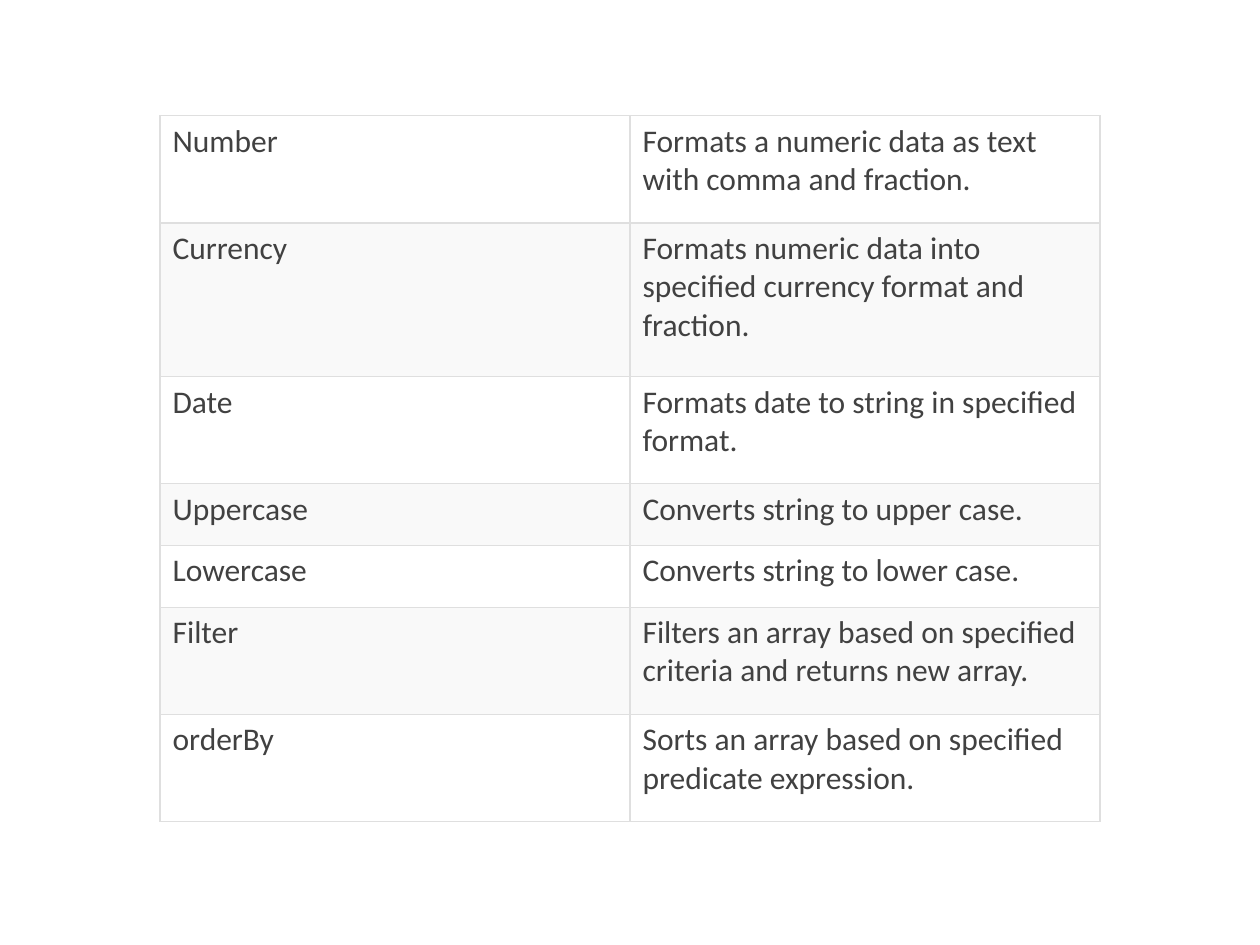
from lxml import etree
from pptx import Presentation
from pptx.dml.color import RGBColor
from pptx.oxml import ns
from pptx.util import Inches, Pt


def rgb(value):
    return RGBColor.from_string(value)


class Deck:
    font = "Calibri"
    size = Pt(18)
    ink = "414141"
    border = "DFDFDF"
    border_width = Pt(0.75)
    bands = ("FFFFFF", "F9F9F9")

    def __init__(self, prs):
        self.s = prs.slides.add_slide(prs.slide_layouts[6])

    def table(self, left, top, col_width, heights, rows):
        cols = len(rows[0])
        frame = self.s.shapes.add_table(
            len(rows), cols, Inches(left), Inches(top),
            Inches(col_width * cols), Inches(sum(heights)))
        table = frame.table
        table.first_row = False
        table.horz_banding = False
        for column in table.columns:
            column.width = Inches(col_width)
        for i, (height, words) in enumerate(zip(heights, rows)):
            table.rows[i].height = Inches(height)
            for j, word in enumerate(words):
                self.cell(table.cell(i, j), word, self.bands[i % 2])

    def cell(self, cell, word, fill):
        cell.text = word
        p = cell.text_frame.paragraphs[0]
        p.font.name = self.font
        p.font.size = self.size
        p.font.color.rgb = rgb(self.ink)
        cell.fill.solid()
        cell.fill.fore_color.rgb = rgb(fill)
        self.borders(cell)

    def borders(self, cell):
        tc_pr = cell._tc.get_or_add_tcPr()
        for i, side in enumerate(("lnL", "lnR", "lnT", "lnB")):
            line = etree.Element(ns.qn(f"a:{side}"), w=str(self.border_width))
            fill = etree.SubElement(line, ns.qn("a:solidFill"))
            etree.SubElement(fill, ns.qn("a:srgbClr"), val=self.border)
            tc_pr.insert(i, line)


FILTERS = [
    ("Number", "Formats a numeric data as text with comma and fraction."),
    ("Currency", "Formats numeric data into specified currency format and fraction."),
    ("Date", "Formats date to string in specified format."),
    ("Uppercase", "Converts string to upper case."),
    ("Lowercase", "Converts string to lower case."),
    ("Filter", "Filters an array based on specified criteria and returns new array."),
    ("orderBy", "Sorts an array based on specified predicate expression."),
]
HEIGHTS = [0.85, 1.22, 0.85, 0.49, 0.49, 0.85, 0.85]


def main():
    prs = Presentation()
    prs.slide_width = Inches(10)
    prs.slide_height = Inches(7.5)
    Deck(prs).table(1.27, 0.92, 3.73, HEIGHTS, FILTERS)
    prs.save("out.pptx")


if __name__ == "__main__":
    main()
